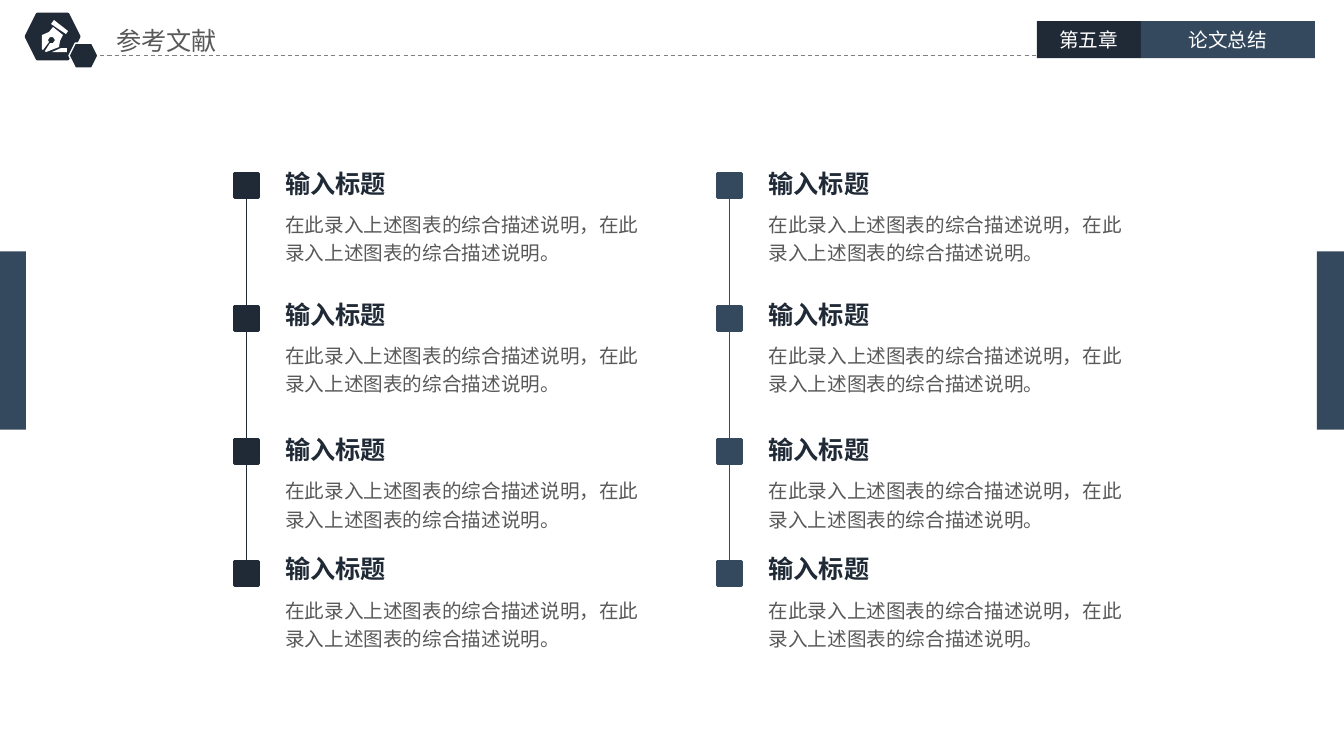
from pptx import Presentation
from pptx.dml.color import RGBColor
from pptx.enum.dml import MSO_LINE
from pptx.enum.shapes import MSO_CONNECTOR, MSO_SHAPE
from pptx.enum.text import MSO_ANCHOR as ANCHOR, MSO_AUTO_SIZE as AUTO_SIZE, PP_ALIGN as ALIGN
from pptx.oxml.ns import qn
from pptx.util import Emu, Pt
from lxml.etree import SubElement

NAVY, SLATE, GREY, WHITE = "202A36", "34495E", "595959", "FFFFFF"
FONT = "Noto Sans CJK SC"
EMU_PER_PX = 9080


def px(length):
    return Emu(length * EMU_PER_PX)


def colour(hex_value):
    return RGBColor.from_string(hex_value)


class SlideBuilder:
    def __init__(self, slide):
        self.slide = slide
        self.shapes = slide.shapes

    def paint(self, shape, fill, line=None, width=1):
        shape.shadow.inherit = False
        shape.fill.solid()
        shape.fill.fore_color.rgb = colour(fill)
        if line:
            shape.line.color.rgb = colour(line)
            shape.line.width = Pt(width)
        else:
            shape.line.fill.background()

    def label(self, shape, words, size, tint, bold=False, align=ALIGN.LEFT,
              anchor=ANCHOR.TOP, wrap=True, inset=(10, 5), spacing=None):
        frame = shape.text_frame
        frame.text = words
        frame.word_wrap = wrap
        frame.auto_size = AUTO_SIZE.NONE
        frame.vertical_anchor = anchor
        frame.margin_left = frame.margin_right = px(inset[0])
        frame.margin_top = frame.margin_bottom = px(inset[1])
        paragraph = frame.paragraphs[0]
        paragraph.alignment = align
        if spacing:
            paragraph.line_spacing = spacing
        font = paragraph.runs[0].font
        font.size, font.bold, font.name = Pt(size), bold, FONT
        font.color.rgb = colour(tint)
        SubElement(paragraph.runs[0]._r.get_or_add_rPr(), qn("a:ea"), typeface=FONT)

    def title(self, words, x, y, w, h):
        title = self.shapes.title
        title.left, title.top, title.width, title.height = map(px, (x, y, w, h))
        self.label(title, words, 18, GREY, inset=(7, 4))

    def shape(self, kind, x, y, w, h, fill, line=None, width=1):
        shape = self.shapes.add_shape(kind, px(x), px(y), px(w), px(h))
        self.paint(shape, fill, line, width)
        return shape

    def text(self, words, x, y, w, h, size, tint, **style):
        box = self.shapes.add_textbox(px(x), px(y), px(w), px(h))
        self.label(box, words, size, tint, **style)

    def line(self, x1, y1, x2, y2, tint, dash=None):
        line = self.shapes.add_connector(
            MSO_CONNECTOR.STRAIGHT, px(x1), px(y1), px(x2), px(y2))
        line.line.color.rgb = colour(tint)
        line.line.width = Pt(0.75)
        if dash:
            line.line.dash_style = dash
        SubElement(line._element.spPr, qn("a:effectLst"))

    def outline(self, contours, fill):
        builder = self.shapes.build_freeform(*contours[0][0], scale=EMU_PER_PX)
        for index, contour in enumerate(contours):
            if index:
                builder.move_to(*contour[0])
            builder.add_line_segments(contour[1:], close=True)
        self.paint(builder.convert_to_shape(), fill)


prs = Presentation()
prs.slide_width, prs.slide_height = px(1343), px(755)
page = SlideBuilder(prs.slides.add_slide(prs.slide_layouts[5]))

# Header: title, hexagon badge and dashed rule
page.title("参考文献", 109, 21, 206, 38)
page.shape(MSO_SHAPE.HEXAGON, 26, 14, 53, 45, NAVY, NAVY, 2)
page.line(93, 55, 1036, 55, "808080", MSO_LINE.DASH)
page.shape(MSO_SHAPE.HEXAGON, 69, 43, 29, 25, NAVY, WHITE, 1)

# Chapter tabs
for words, left, width, fill in (("第五章", 1036, 104, NAVY), ("论文总结", 1140, 174, SLATE)):
    tab = page.shape(MSO_SHAPE.RECTANGLE, left, 21, width, 37, fill)
    page.label(tab, words, 14, WHITE, align=ALIGN.CENTER, anchor=ANCHOR.MIDDLE, inset=(7, 4))

# Side bars
for left in (-3, 1316):
    page.shape(MSO_SHAPE.RECTANGLE, left, 251, 29, 178, SLATE)

# Pen icon: nib, base stroke and cap
nib = [(43, 50), (42, 49), (42, 35), (49, 32), (53, 27), (63, 35), (60, 41), (59, 47),
       (46, 52), (45, 51), (50, 43), (53, 43), (55, 40), (53, 37), (50, 37), (48, 40), (49, 42)]
base_stroke = [(52, 52), (67, 52), (67, 48), (61, 48)]
cap = [(66, 34), (68, 31), (54, 20), (51, 24)]
page.outline([nib, base_stroke, cap], WHITE)

# Two timelines of references
HEADING = "输入标题"
DESCRIPTION = "在此录入上述图表的综合描述说明，在此录入上述图表的综合描述说明。"
MARKER = 24
marker_tops = [173, 306, 439, 561]
heading_tops = [163, 294, 429, 548]

for left, tint in ((234, NAVY), (717, SLATE)):
    axis, text_left = left + MARKER // 2, left + 41
    for top, next_top in zip(marker_tops, marker_tops[1:]):
        page.line(axis, top + MARKER, axis, next_top, tint)
    for top, heading_top in zip(marker_tops, heading_tops):
        page.shape(MSO_SHAPE.RECTANGLE, left, top, MARKER, MARKER, tint, tint, 2)
        page.text(HEADING, text_left, heading_top, 122, 40, 18, NAVY, bold=True, wrap=False)
        page.text(DESCRIPTION, text_left, heading_top + 40, 381, 67, 14, GREY, spacing=1.2)

prs.save("out.pptx")
